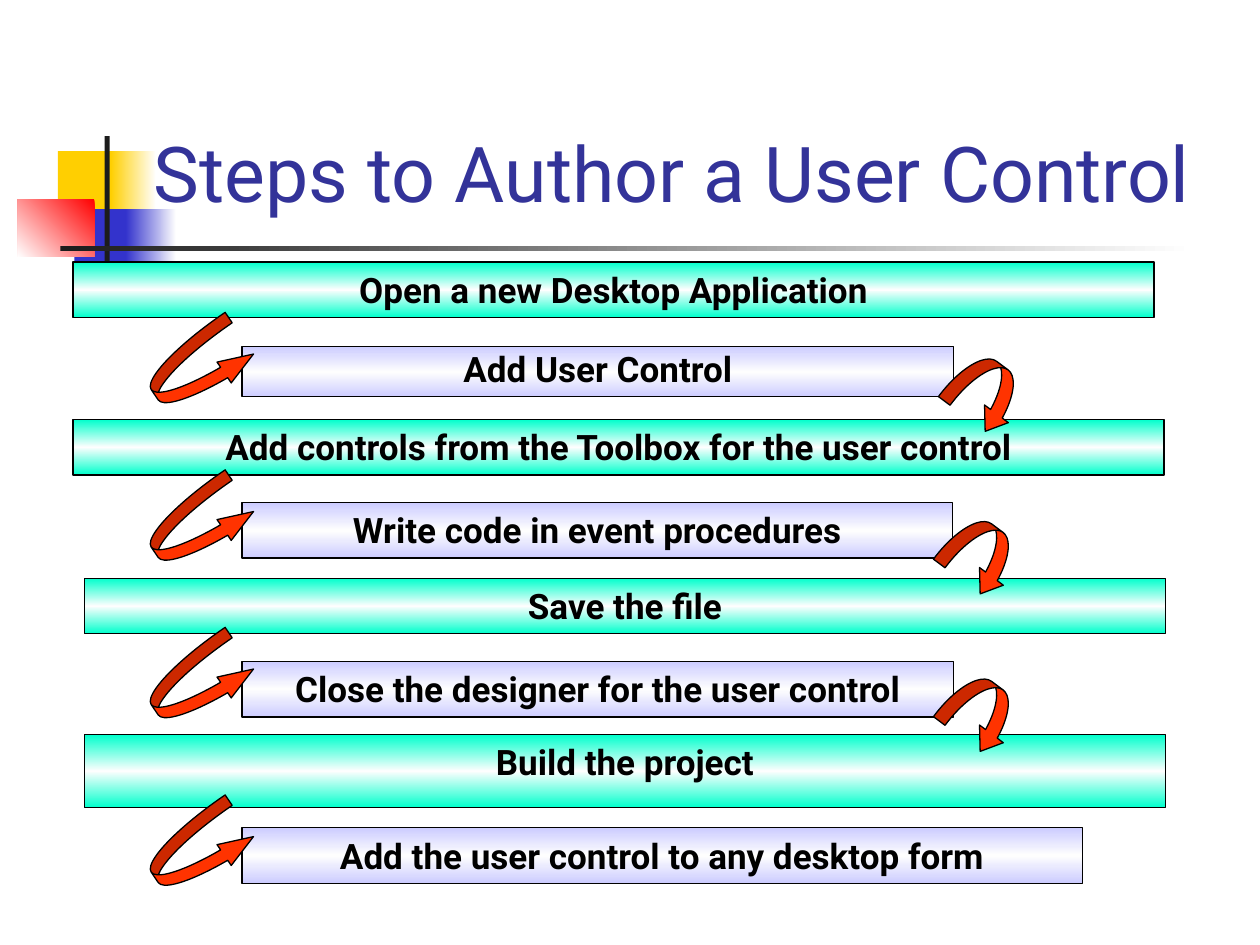
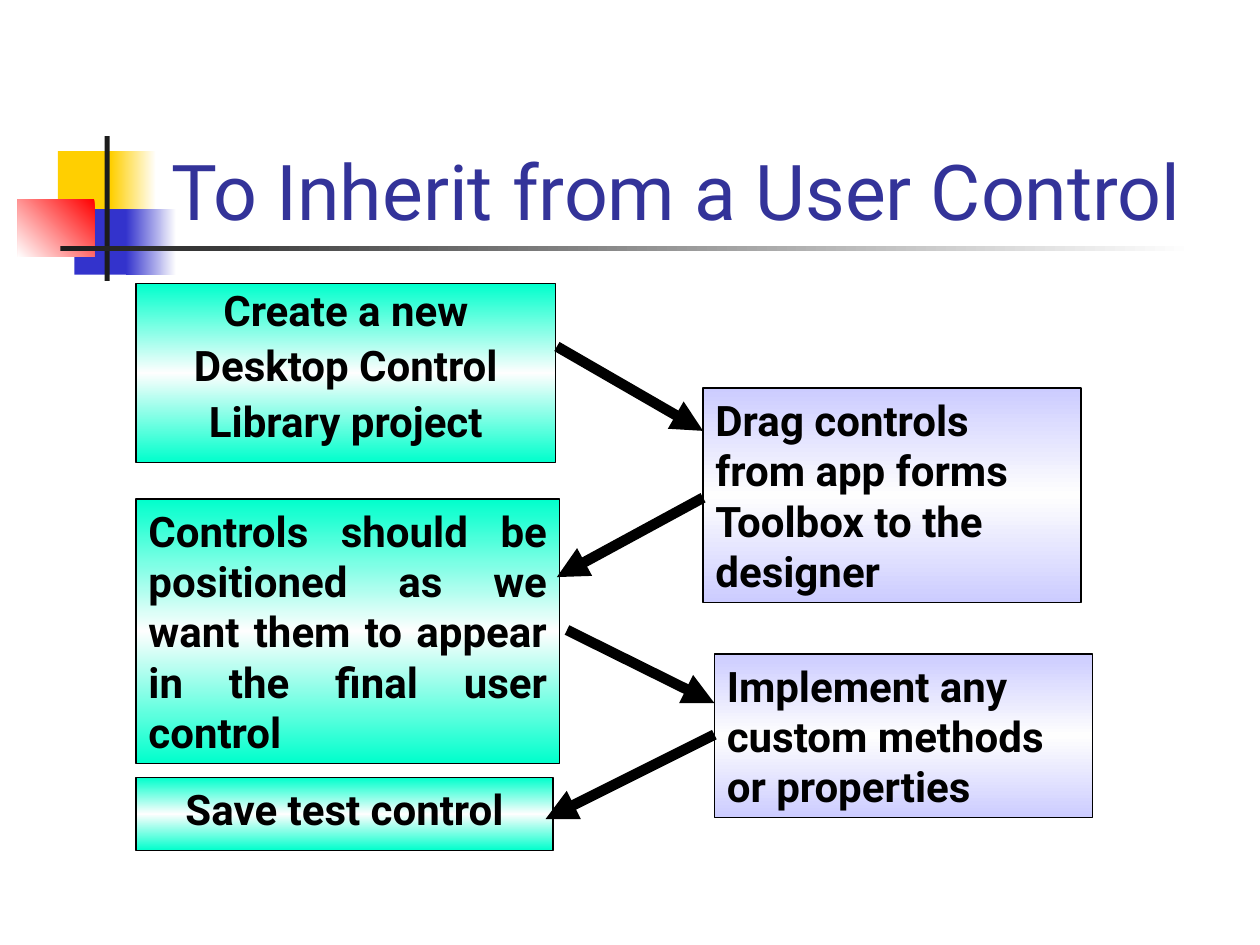
import copy

import pptx
import pptx.util
from pptx.dml.color import RGBColor
from pptx.enum.shapes import MSO_CONNECTOR, MSO_SHAPE
from pptx.enum.text import MSO_ANCHOR, MSO_AUTO_SIZE, PP_ALIGN
from pptx.oxml.ns import qn

PX = 9144  # 100 px to the inch
FONT = "Roboto"
BLACK = RGBColor(0x00, 0x00, 0x00)
WHITE = RGBColor(0xFF, 0xFF, 0xFF)
GLOW = RGBColor(0xFE, 0xFE, 0xFE)
TITLE_BLUE = RGBColor(0x33, 0x33, 0x99)
YELLOW = RGBColor(0xFF, 0xCF, 0x01)
BLUE = RGBColor(0x33, 0x33, 0xCC)
RED = RGBColor(0xFF, 0x00, 0x00)
DARK = RGBColor(0x1C, 0x1C, 0x1C)
TEAL = RGBColor(0x00, 0xFF, 0xCC)
LILAC = RGBColor(0xCC, 0xCC, 0xFF)
ORANGE = RGBColor(0xFF, 0x33, 0x00)
TEAL_BAND = [TEAL, GLOW, TEAL]
LILAC_BAND = [LILAC, GLOW, LILAC]
LEFT, CENTER, JUSTIFY = PP_ALIGN.LEFT, PP_ALIGN.CENTER, PP_ALIGN.JUSTIFY


def place(sp, box, colors=(), angle=90, outline=True):
    """Set the box in px and the fill: one colour is solid, more make an even gradient."""
    sp.left, sp.top, sp.width, sp.height = [v * PX for v in box]
    if not colors:
        return
    sp.shadow.inherit = False
    if len(colors) == 1:
        sp.fill.solid()
        sp.fill.fore_color.rgb = colors[0]
    else:
        sp.fill.gradient()
        sp.fill.gradient_angle = angle
        gs_list = sp._element.spPr.find(".//" + qn("a:gsLst"))
        for _ in colors[2:]:
            gs_list.append(copy.deepcopy(gs_list[0]))
        for i, (stop, color) in enumerate(zip(sp.fill.gradient_stops, colors)):
            stop.color.rgb = color
            stop.position = i / (len(colors) - 1)
    if outline:
        sp.line.color.rgb = BLACK
        sp.line.width = pptx.util.Pt(0.75)
    else:
        sp.line.fill.background()


def write(sp, text, size=20, color=BLACK, bold=True, align=CENTER, before=0,
          spacing=1.0, anchor=MSO_ANCHOR.TOP, hanging=False):
    tf = sp.text_frame
    tf.word_wrap = True
    tf.auto_size = MSO_AUTO_SIZE.NONE
    tf.vertical_anchor = anchor
    tf.margin_left = tf.margin_right = 10 * PX
    tf.margin_top = tf.margin_bottom = 5 * PX
    for i, line in enumerate(text.split("\n")):
        p = tf.paragraphs[0] if i == 0 else tf.add_paragraph()
        p.alignment = align
        p.space_before = pptx.util.Pt(before)
        p.line_spacing = spacing
        if hanging:
            pPr = p._p.get_or_add_pPr()
            pPr.set("marL", str(38 * PX))
            pPr.set("indent", str(-38 * PX))
            pPr.append(pPr.makeelement(qn("a:buNone"), {}))
        r = p.add_run()
        r.text = line
        r.font.name = FONT
        r.font.size = pptx.util.Pt(size)
        r.font.bold = bold
        r.font.color.rgb = color


prs = pptx.Presentation()
prs.slide_width, prs.slide_height = 1000 * PX, 750 * PX
layout = prs.slide_layouts[1]
steps_slide = prs.slides.add_slide(layout)
inherit_slide = prs.slides.add_slide(layout)

# Shared decoration, drawn once and kept on the layout
decoration = [
    ((46, 120, 48, 52), [YELLOW], 0),
    ((88, 120, 36, 52), [YELLOW, WHITE], 0),
    ((59, 166, 46, 52), [BLUE], 0),
    ((100, 166, 40, 52), [BLUE, WHITE], 0),
    ((14, 158, 61, 46), [RED, WHITE], 225),
    ((83, 108, 4, 115), [DARK], 0),
    ((48, 195, 900, 4), [DARK, WHITE], 0),
]
for box, colors, angle in decoration:
    sp = steps_slide.shapes.add_shape(MSO_SHAPE.RECTANGLE, 0, 0, 0, 0)
    place(sp, box, colors, angle, outline=False)
    layout.shapes._spTree.append(sp._element)

# Title and closing box of each slide
for s, title, title_box, body, body_box, size, before in [
    (steps_slide, "Steps to Author a User Control", (112, 78, 921, 100),
     "Build the project", (67, 583, 858, 58), 20, 5),
    (inherit_slide, "To Inherit from a User Control", (126, 67, 852, 125),
     "Save test control", (108, 617, 331, 58), 24, 6),
]:
    place(s.shapes.title, title_box)
    write(s.shapes.title, title, size=44, color=TITLE_BLUE, bold=False,
          align=LEFT, anchor=MSO_ANCHOR.BOTTOM)
    place(s.placeholders[1], body_box, TEAL_BAND)
    write(s.placeholders[1], body, size=size, before=before, hanging=True)

# Slide 1: the steps
steps = [
    ("Open a new Desktop Application", (58, 208, 858, 44), TEAL_BAND, 5, 1.0),
    ("Add User Control", (192, 275, 565, 40), LILAC_BAND, 5, 0.9),
    ("Add controls from the Toolbox for the user control",
     (58, 333, 866, 44), TEAL_BAND, 12.5, 1.0),
    ("Write code in event procedures", (192, 399, 564, 44), LILAC_BAND, 12.5, 1.0),
    ("Save the file", (67, 459, 858, 44), TEAL_BAND, 12.5, 1.0),
    ("Close the designer for the user control",
     (192, 525, 565, 44), LILAC_BAND, 12.5, 1.0),
    ("Add the user control to any desktop form",
     (192, 657, 667, 44), LILAC_BAND, 5, 1.0),
]
for text, box, colors, before, spacing in steps:
    sp = steps_slide.shapes.add_shape(MSO_SHAPE.RECTANGLE, 0, 0, 0, 0)
    place(sp, box, colors)
    write(sp, text, before=before, spacing=spacing)

curved_arrows = [
    (MSO_SHAPE.CURVED_RIGHT_ARROW, 325.7, (83, 50), (0.2, 0.4, 0.55),
     [(117, 267), (117, 392), (117, 517), (117, 650)]),
    (MSO_SHAPE.CURVED_LEFT_ARROW, 306.6, (50, 58), (0.23, 0.47, 0.33),
     [(758, 283), (754, 412), (754, 537)]),
]
for kind, rotation, extent, adjustments, corners in curved_arrows:
    for corner in corners:
        sp = steps_slide.shapes.add_shape(kind, 0, 0, 0, 0)
        place(sp, corner + extent, [ORANGE])
        sp.rotation = rotation
        for i, value in enumerate(adjustments):
            sp.adjustments[i] = value

# Slide 2: the boxes and the arrows between them
boxes = [
    ("Create a new\nDesktop Control\nLibrary project",
     (108, 225, 333, 142), TEAL_BAND,
     dict(before=6, spacing=0.9, hanging=True)),
    ("Drag controls from app forms Toolbox to the designer",
     (558, 308, 300, 170), LILAC_BAND, dict(align=LEFT, before=15)),
    ("Controls should be positioned as we want them to appear in the final user control",
     (108, 396, 336, 210), TEAL_BAND, dict(align=JUSTIFY, before=15)),
    ("Implement any custom methods or properties",
     (567, 519, 300, 130), LILAC_BAND, dict(align=LEFT, before=15)),
]
for text, box, colors, text_format in boxes:
    sp = inherit_slide.shapes.add_shape(MSO_SHAPE.RECTANGLE, 0, 0, 0, 0)
    place(sp, box, colors)
    write(sp, text, size=24, **text_format)

for ends in [(442, 275, 558, 342), (558, 395, 442, 458),
             (450, 500, 567, 558), (567, 583, 433, 650)]:
    arrow = inherit_slide.shapes.add_connector(
        MSO_CONNECTOR.STRAIGHT, *[v * PX for v in ends])
    arrow.line.color.rgb = BLACK
    arrow.line.width = pptx.util.Pt(6)
    ln = arrow.line._get_or_add_ln()
    ln.append(ln.makeelement(qn("a:tailEnd"), {"type": "triangle"}))
    spPr = arrow._element.spPr
    spPr.append(spPr.makeelement(qn("a:effectLst"), {}))

prs.save("out.pptx")
